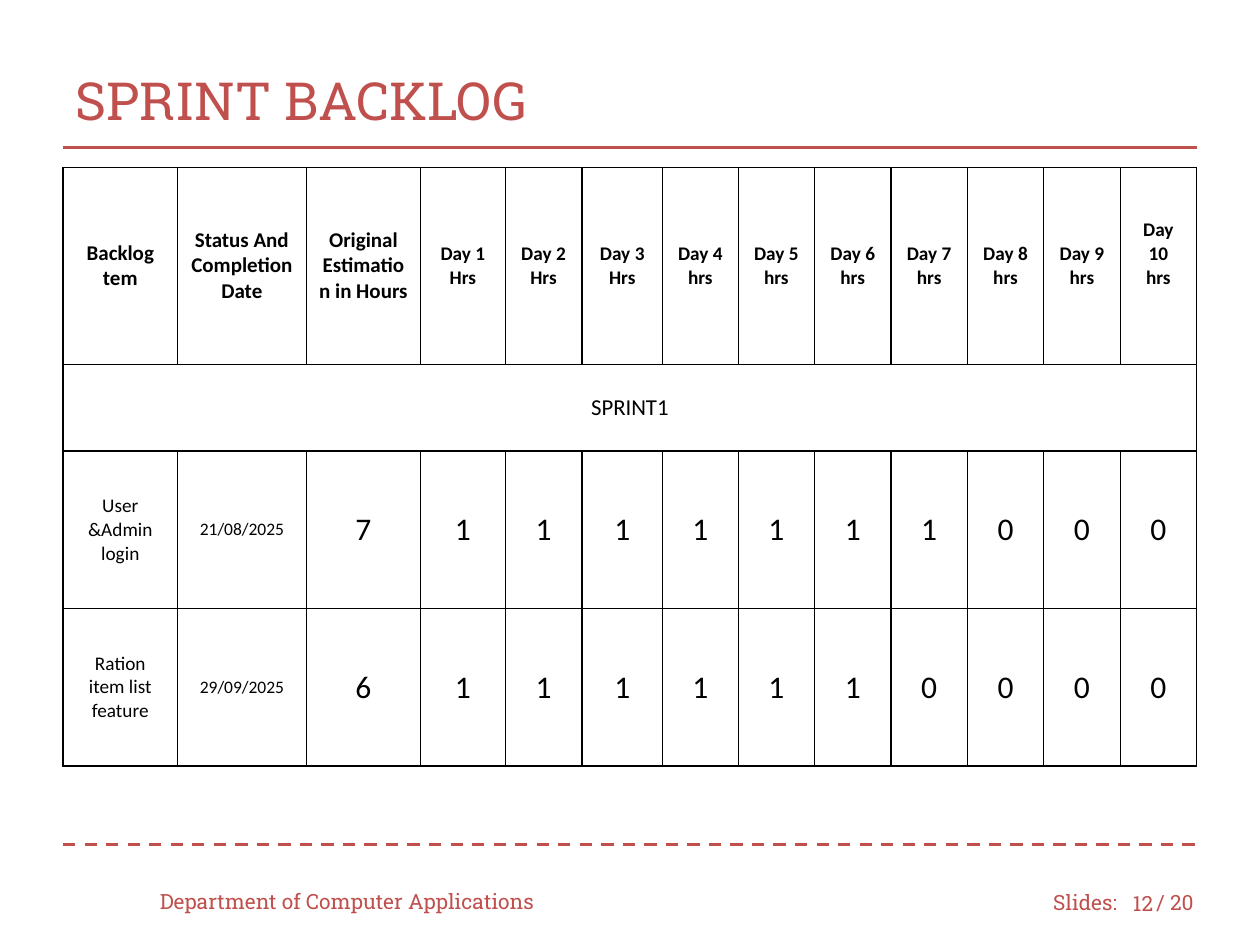
import dataclasses

import lxml.etree
import pptx
import pptx.dml.color
import pptx.enum.dml
import pptx.enum.shapes
import pptx.enum.text
import pptx.oxml.ns
import pptx.util

Inches = pptx.util.Inches
Pt = pptx.util.Pt
qn = pptx.oxml.ns.qn
MIDDLE = pptx.enum.text.MSO_ANCHOR.MIDDLE
ALIGN = pptx.enum.text.PP_ALIGN


@dataclasses.dataclass(frozen=True)
class Theme:
    accent: str = "C0504D"
    ink: str = "000000"
    paper: str = "FFFFFF"
    heading_font: str = "Roboto Slab"
    table_font: str = "Calibri"
    title: int = 30
    footer: int = 12
    head: int = 12
    day: int = 11
    sprint: int = 13
    item: int = 11
    date: int = 10
    hours: int = 18
    rule: float = 1.75
    border: float = 0.75


def rgb(value):
    return pptx.dml.color.RGBColor.from_string(value)


class Deck:
    def __init__(self, prs, theme):
        self.theme = theme
        self.s = prs.slides.add_slide(prs.slide_layouts[6])

    def style(self, p, font, size, color, align, bold=False):
        p.alignment = align
        p.font.name = font
        p.font.size = Pt(size)
        p.font.bold = bold
        p.font.color.rgb = rgb(color)

    def text(self, text, left, top, width, height, size, align=ALIGN.LEFT):
        sp = self.s.shapes.add_textbox(Inches(left), Inches(top), Inches(width), Inches(height))
        tf = sp.text_frame
        tf.word_wrap = True
        tf.vertical_anchor = MIDDLE
        tf.text = text
        self.style(tf.paragraphs[0], self.theme.heading_font, size, self.theme.accent, align)

    def rule(self, y, dashed=False):
        """Draw a horizontal line from margin to margin."""
        line = self.s.shapes.add_connector(
            pptx.enum.shapes.MSO_CONNECTOR.STRAIGHT,
            Inches(0.5), Inches(y), Inches(9.5), Inches(y))
        line.line.color.rgb = rgb(self.theme.accent)
        line.line.width = Pt(self.theme.rule)
        if dashed:
            line.line.dash_style = pptx.enum.dml.MSO_LINE.DASH
        lxml.etree.SubElement(line._element.spPr, qn("a:effectLst"))

    def table(self, left, top, widths, heights):
        frame = self.s.shapes.add_table(
            len(heights), len(widths), Inches(left), Inches(top),
            Inches(sum(widths)), Inches(sum(heights)))
        table = frame.table
        for column, width in zip(table.columns, widths):
            column.width = Inches(width)
        for row, height in zip(table.rows, heights):
            row.height = Inches(height)
        for cell in table.iter_cells():
            cell.fill.solid()
            cell.fill.fore_color.rgb = rgb(self.theme.paper)
            cell.vertical_anchor = MIDDLE
            cell.margin_left = cell.margin_right = Inches(0.1)
            cell.margin_top = cell.margin_bottom = Inches(0.1)
            self.borders(cell)
        return table

    def borders(self, cell):
        tc_pr = cell._tc.get_or_add_tcPr()
        for i, side in enumerate(("lnL", "lnR", "lnT", "lnB")):
            ln = lxml.etree.Element(qn(f"a:{side}"), w=str(Pt(self.theme.border)))
            fill = lxml.etree.SubElement(ln, qn("a:solidFill"))
            lxml.etree.SubElement(fill, qn("a:srgbClr"), val=self.theme.ink)
            tc_pr.insert(i, ln)

    def cell(self, cell, text, size, bold=False):
        cell.text = text
        for p in cell.text_frame.paragraphs:
            self.style(p, self.theme.table_font, size, self.theme.ink, ALIGN.CENTER, bold)


def add_backlog(deck):
    theme = deck.theme
    widths = [0.91, 1.02, 0.91, 0.67, 0.61, 0.64, 0.6]
    widths += [(9 - sum(widths)) / 6] * 6
    table = deck.table(0.5, 1.33, widths, [1.56, 0.69, 1.25, 1.25])

    heads = ["Backlog tem", "Status And Completion Date", "Original Estimation in Hours"]
    for col, head in enumerate(heads):
        deck.cell(table.cell(0, col), head, theme.head, bold=True)
    for day in range(1, 11):
        unit = "Hrs" if day <= 3 else "hrs"
        deck.cell(table.cell(0, day + 2), f"Day {day}\n{unit}", theme.day, bold=True)
    # The three-line heading sits half a line higher than the others.
    table.cell(0, 12).margin_bottom = Inches(0.29)

    table.cell(1, 0).merge(table.cell(1, 12))
    deck.cell(table.cell(1, 0), "SPRINT1", theme.sprint)

    items = [("User &Admin login", "21/08/2025", 7),
             ("Ration item list feature", "29/09/2025", 6)]
    for row, (item, date, estimate) in enumerate(items, start=2):
        deck.cell(table.cell(row, 0), item, theme.item)
        deck.cell(table.cell(row, 1), date, theme.date)
        # One hour a day until the estimate is used up.
        hours = [estimate] + [1] * estimate + [0] * (10 - estimate)
        for col, value in enumerate(hours, start=2):
            deck.cell(table.cell(row, col), str(value), theme.hours)


def main():
    prs = pptx.Presentation()
    prs.slide_width = Inches(10)
    prs.slide_height = Inches(7.5)
    theme = Theme()
    deck = Deck(prs, theme)

    deck.text("Slides:", 8.26, 6.96, 0.75, 0.4, theme.footer)
    deck.text("/ 20", 9.08, 6.96, 0.58, 0.4, theme.footer)
    deck.rule(6.7, dashed=True)
    deck.rule(1.17)
    deck.text("SPRINT BACKLOG", 0.5, 0.33, 9, 0.92, theme.title)
    deck.text("Department of Computer Applications", 1.17, 6.95, 3.33, 0.4, theme.footer)
    deck.text("12", 8.83, 6.97, 0.42, 0.4, theme.footer, ALIGN.RIGHT)
    add_backlog(deck)

    prs.save("out.pptx")


if __name__ == "__main__":
    main()
